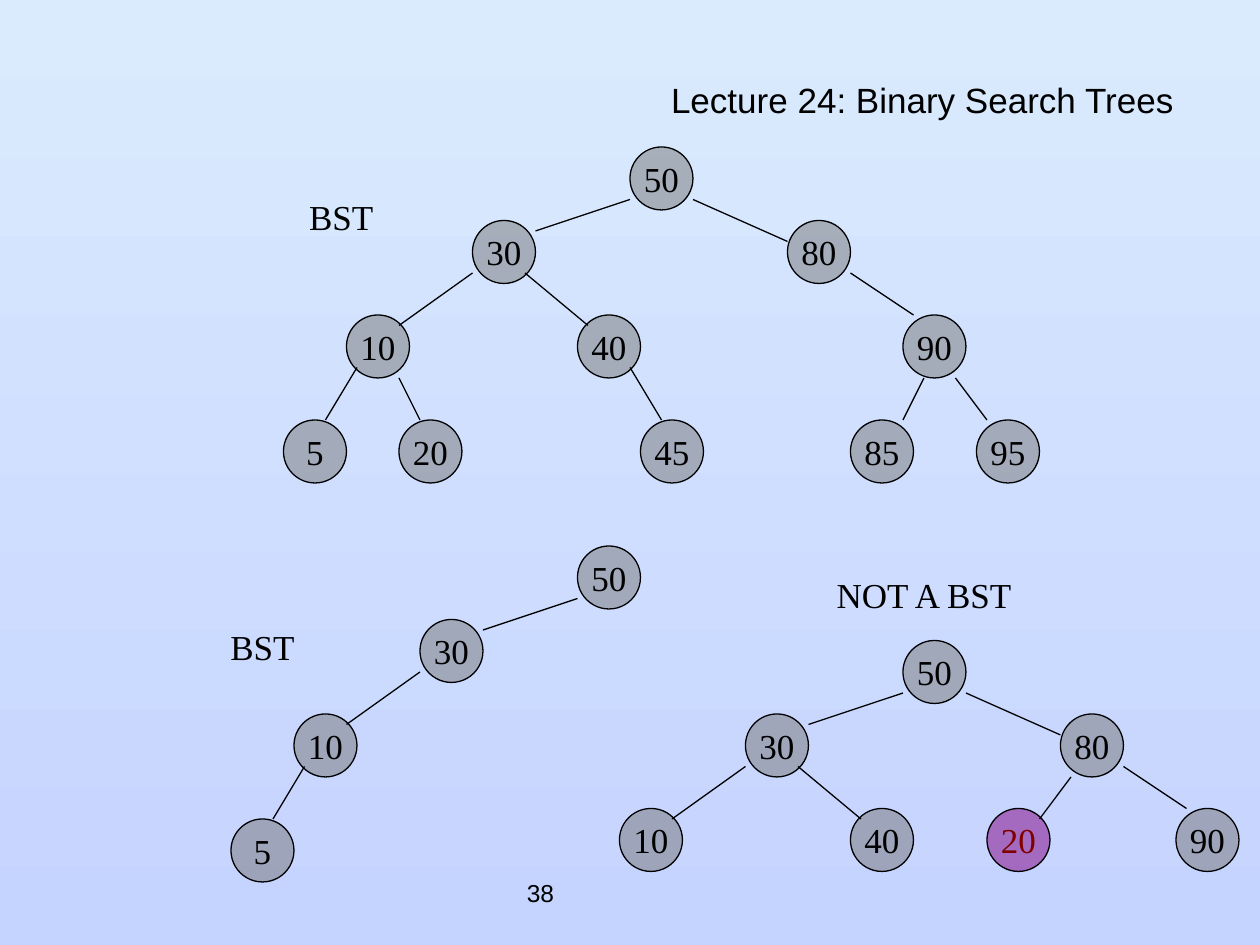
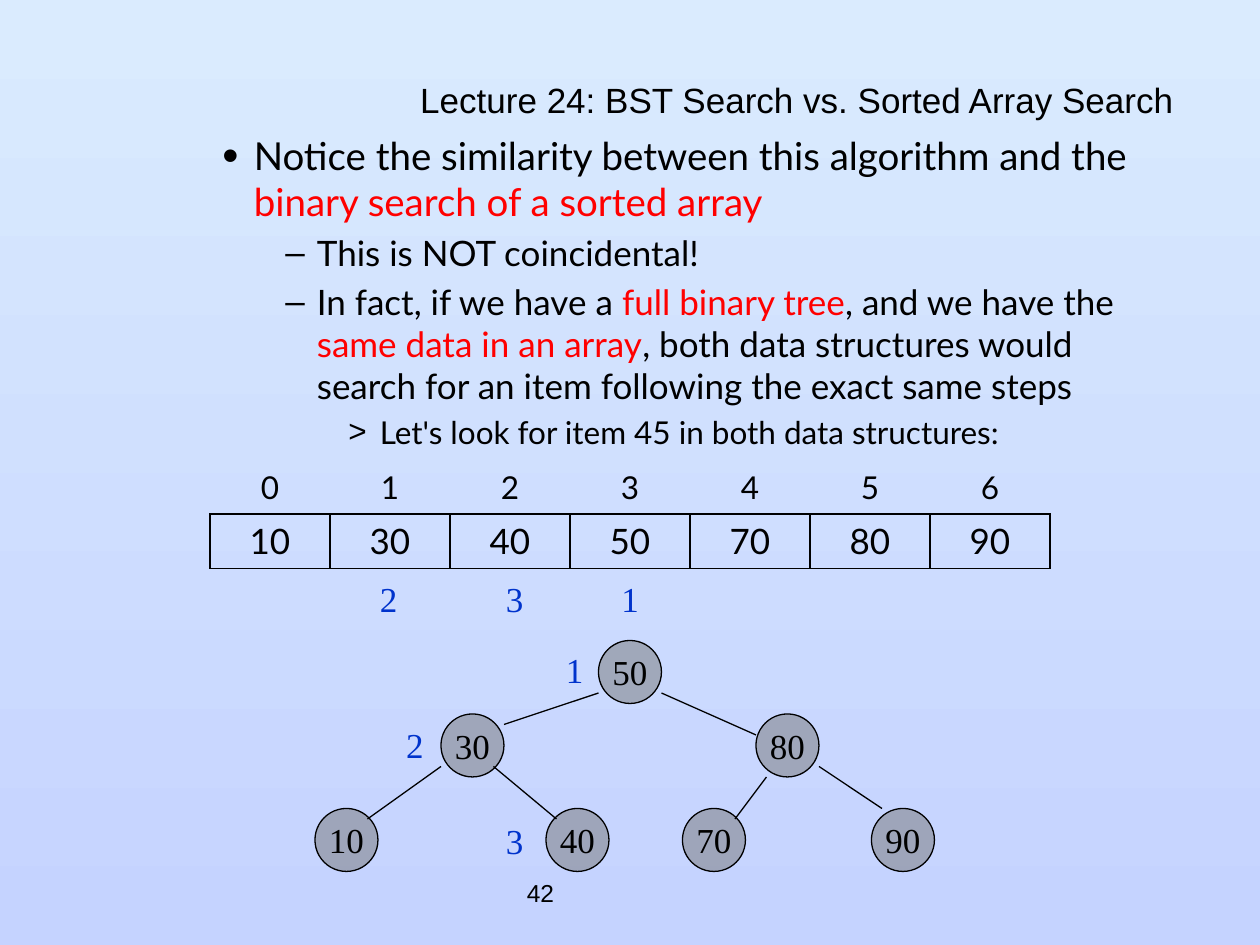
import dataclasses

import lxml.etree
import pptx
import pptx.dml.color
import pptx.enum.shapes
import pptx.enum.text
import pptx.oxml
import pptx.oxml.ns
import pptx.util

qn = pptx.oxml.ns.qn
RGB = pptx.dml.color.RGBColor.from_string
ALIGN = pptx.enum.text.PP_ALIGN
MIDDLE = pptx.enum.text.MSO_ANCHOR.MIDDLE


@dataclasses.dataclass(frozen=True)
class Theme:
    sky_top: str = "DAEBFE"
    sky_bottom: str = "C5D3FF"
    ink: str = "000000"
    node: str = "777777"
    wrong_node: str = "800080"
    wrong_text: str = "800000"
    key: str = "FF0000"
    step: str = "0033CC"
    head_font: str = "Arial"
    body_font: str = "Lato"
    tree_font: str = "Times New Roman"
    base: int = 20
    number: int = 14
    index: int = 18
    thin: float = 0.75
    border: float = 1


T = Theme()


def grid(*steps):
    """Lengths on a grid of twelve steps to the inch."""
    return [pptx.util.Cm(n * 2.54 / 12) for n in steps]


def write(p, text, font, size=T.base, color=T.ink, align=None):
    r = p.add_run()
    r.text = text
    for name, value in {"name": font, "size": pptx.util.Pt(size), "bold": False}.items():
        setattr(r.font, name, value)
    r.font.color.rgb = RGB(color)
    if align is not None:
        p.alignment = align


prs = pptx.Presentation()
prs.slide_width, prs.slide_height = pptx.util.Cm(25.4), pptx.util.Cm(19.05)

# Shared background
sky = prs.slide_master.background.fill
sky.gradient()
sky.gradient_angle = 270
for stop, color in zip(sky.gradient_stops, (T.sky_top, T.sky_bottom)):
    stop.color.rgb = RGB(color)

# Titles and slide numbers
slides = []
for title, number in (
    ("Lecture 24: Binary Search Trees", "38"),
    ("Lecture 24: BST Search vs. Sorted Array Search", "42"),
):
    s = prs.slides.add_slide(prs.slide_layouts[5])
    slides.append(s)
    sp = s.shapes.title
    sp.left, sp.top, sp.width, sp.height = grid(7, 8, 106, 4)
    tf = sp.text_frame
    tf.auto_size = pptx.enum.text.MSO_AUTO_SIZE.NONE
    tf.vertical_anchor = MIDDLE
    tf.paragraphs[0].line_spacing = 0.7
    write(tf.paragraphs[0], title, T.head_font, align=ALIGN.RIGHT)

    tf = s.shapes.add_textbox(*grid(49, 82, 25, 6)).text_frame
    tf.word_wrap = True
    tf.vertical_anchor = MIDDLE
    write(tf.paragraphs[0], number, T.head_font, T.number)
examples, search = slides

# Explanation above the array: level, bullet, size, runs (text, colour)
points = [
    (2, "•", 22, [("Notice the similarity between this algorithm and the ", T.ink),
                  ("binary search of a sorted array", T.key)]),
    (3, "–", 20, [("This is NOT coincidental!", T.ink)]),
    (3, "–", 20, [("In fact, if we have a ", T.ink),
                  ("full binary tree", T.key),
                  (", and we have the ", T.ink),
                  ("same data in an array", T.key),
                  (", both data structures would search for an item "
                   "following the exact same steps", T.ink)]),
    (4, ">", 18, [("Let's look for item 45 in both data structures:", T.ink)]),
]
tf = search.shapes.add_textbox(*grid(8, 12, 103, 68)).text_frame
tf.word_wrap = True
for i, (level, bullet, size, runs) in enumerate(points):
    p = tf.add_paragraph() if i else tf.paragraphs[0]
    p.level = level
    pPr = p._p.get_or_add_pPr()
    indent, hanging = grid(6 * level + 3, -3)
    pPr.set("marL", str(indent))
    pPr.set("indent", str(hanging))
    color = lxml.etree.SubElement(pPr, qn("a:buClr"))
    lxml.etree.SubElement(color, qn("a:srgbClr"), val=T.ink)
    lxml.etree.SubElement(pPr, qn("a:buSzPct"), val="100000" if i else "120000")
    lxml.etree.SubElement(pPr, qn("a:buFont"), typeface=T.head_font)
    lxml.etree.SubElement(pPr, qn("a:buChar"), char=bullet)
    if i:
        p.space_before = pptx.util.Pt(0.2 * size)
    for text, color in runs:
        write(p, text, T.body_font, size, color)

# Sorted array: indices, boxed values, an empty row for the search steps
array = [10, 30, 40, 50, 70, 80, 90]
rows = [(4.95, T.index, range(len(array))), (5.2, T.base, array), (4.95, T.index, [])]
table = search.shapes.add_table(len(rows), len(array), *grid(20, 44, 80, 15.1)).table
table.first_row = table.horz_banding = False
NO_STYLE = "{2D5ABB26-0587-4C30-8999-92F81FD0307C}"
table._tbl.tblPr.find(qn("a:tableStyleId")).text = NO_STYLE
for col in table.columns:
    col.width = grid(80 / len(array))[0]
sides = [("lnB",), ("lnL", "lnR", "lnT", "lnB"), ("lnT",)]
for r, (height, size, values) in enumerate(rows):
    table.rows[r].height = grid(height)[0]
    for c in range(len(array)):
        cell = table.cell(r, c)
        tcPr = cell._tc.get_or_add_tcPr()
        for side in sides[r]:
            ln = lxml.etree.SubElement(
                tcPr, qn("a:" + side), w=str(pptx.util.Pt(T.border)))
            fill = lxml.etree.SubElement(ln, qn("a:solidFill"))
            lxml.etree.SubElement(fill, qn("a:srgbClr"), val=T.ink)
        cell.fill.background()
        if values:
            write(cell.text_frame.paragraphs[0], str(values[c]), T.body_font,
                  size, align=ALIGN.CENTER)

# Node places by path from the root: node offset from the root,
# then edge start within the parent and edge end within the node
NODE = 6
places = {
    "": ((0, 0), None, None),
    "L": ((-15, 7), (0, 5), (6, 1)),
    "R": ((15, 7), (6, 5), (0, 2)),
    "LL": ((-27, 16), (0, 5), (5, 1)),
    "LR": ((-5, 16), (5, 5), (1, 1)),
    "RL": ((8, 16), (1, 6), (5, 1)),
    "RR": ((26, 16), (6, 5), (1, 0)),
    "LLL": ((-33, 26), (1, 5), (4, 0)),
    "LLR": ((-22, 26), (5, 6), (2, 0)),
    "LRR": ((1, 26), (5, 5), (2, 0)),
    "RRL": ((21, 26), (2, 6), (5, 0)),
    "RRR": ((33, 26), (5, 6), (1, 0)),
}
# Slide, root place, values by path, path of the misplaced node
trees = [
    (examples, 60, 14, {"": 50, "L": 30, "R": 80, "LL": 10, "LR": 40, "RR": 90,
                        "LLL": 5, "LLR": 20, "LRR": 45, "RRL": 85, "RRR": 95}, None),
    (examples, 55, 52, {"": 50, "L": 30, "LL": 10, "LLL": 5}, None),
    (examples, 86, 61, {"": 50, "L": 30, "R": 80, "LL": 10, "LR": 40,
                        "RL": 20, "RR": 90}, "RL"),
    (search, 57, 61, {"": 50, "L": 30, "R": 80, "LL": 10, "LR": 40,
                      "RL": 70, "RR": 90}, None),
]
for s, root_x, root_y, values, wrong in trees:
    for route, value in values.items():
        (dx, dy), start, end = places[route]
        x, y = root_x + dx, root_y + dy
        sp = s.shapes.add_shape(
            pptx.enum.shapes.MSO_SHAPE.OVAL, *grid(x, y, NODE, NODE))
        sp.shadow.inherit = False
        sp.fill.solid()
        sp.fill.fore_color.rgb = RGB(T.wrong_node if route == wrong else T.node)
        color = sp._element.spPr.find(qn("a:solidFill")).find(qn("a:srgbClr"))
        lxml.etree.SubElement(color, qn("a:alpha"), val="50000")
        sp.line.color.rgb = RGB(T.ink)
        sp.line.width = pptx.util.Pt(T.thin)
        tf = sp.text_frame
        tf.word_wrap = False
        tf.vertical_anchor = MIDDLE
        write(tf.paragraphs[0], str(value), T.tree_font,
              color=T.wrong_text if route == wrong else T.ink, align=ALIGN.CENTER)
        if start:
            px, py = places[route[:-1]][0]
            edge = s.shapes.add_connector(
                pptx.enum.shapes.MSO_CONNECTOR.STRAIGHT,
                *grid(root_x + px + start[0], root_y + py + start[1],
                      x + end[0], y + end[1]))
            edge.line.color.rgb = RGB(T.ink)
            edge.line.width = pptx.util.Pt(T.thin)
            lxml.etree.SubElement(edge._element.spPr, qn("a:effectLst"))

# Tree captions
for text, x, y, width in (("BST", 21, 18, 23), ("BST", 11, 59, 28),
                          ("NOT A BST", 74, 54, 28)):
    tf = examples.shapes.add_textbox(*grid(x, y, width, 5.2)).text_frame
    tf.word_wrap = True
    write(tf.paragraphs[0], text, T.tree_font, align=ALIGN.CENTER)

# Search steps beside the tree nodes, then below the array cells
for step, x, y in ((1, 52.7, 61.8), (2, 37.5, 68.9), (3, 47, 78),
                   (1, 58, 55), (2, 35, 55), (3, 47, 55)):
    tf = search.shapes.add_textbox(*grid(x, y, 4, 4)).text_frame
    tf.word_wrap = False
    tf.vertical_anchor = MIDDLE
    write(tf.paragraphs[0], str(step), T.tree_font, color=T.step, align=ALIGN.CENTER)

prs.save("out.pptx")
